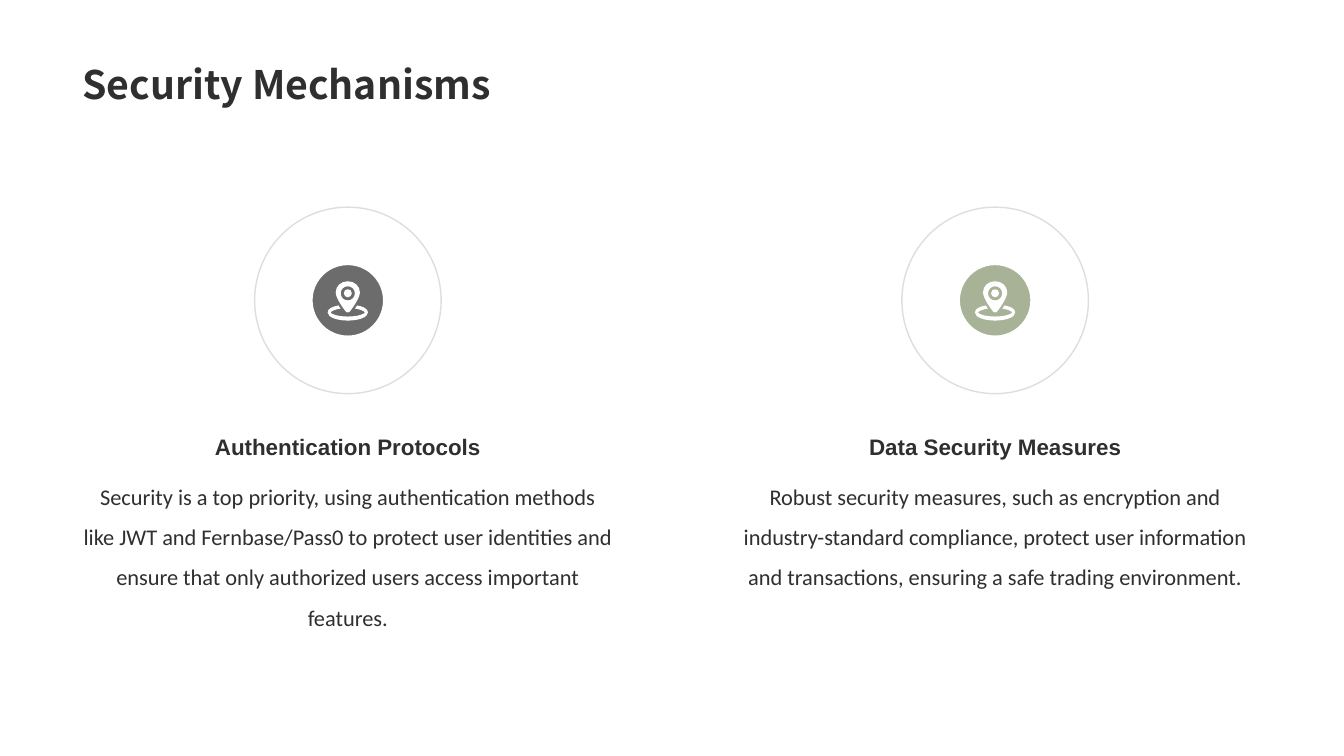
from dataclasses import dataclass

import lxml.etree
import pptx
import pptx.dml.color
import pptx.enum.shapes
import pptx.enum.text
import pptx.oxml.ns
import pptx.util
from pptx.util import Inches

Point = tuple[float, float]
ANCHOR = pptx.enum.text.MSO_ANCHOR
ALIGN = pptx.enum.text.PP_ALIGN
AUTO_SIZE = pptx.enum.text.MSO_AUTO_SIZE
qn = pptx.oxml.ns.qn

INK, WHITE, RING_GREY, SAGE = "2F2F2F", "FFFFFF", "DCDEE0", "82926B"
COLUMN_WIDTH = 5.46
ICON_Y = 2.98

# Right halves of the location pin's contours, as chained cubic curves
# measured in inches from the icon centre
PIN_HALVES: list[list[Point]] = [
    # Base ring
    [(0, .16), (.11, .16), (.17, .13), (.17, .12), (.17, .11), (.13, .09), (.07, .08),
     (.08, .07), (.09, .06), (.09, .05), (.15, .06), (.2, .08), (.2, .12),
     (.2, .17), (.1, .2), (0, .2)],
    # Inner dot
    [(0, -.11), (.02, -.11), (.04, -.1), (.04, -.07), (.04, -.05), (.02, -.03), (0, -.03)],
    # Hole
    [(0, -.14), (.04, -.14), (.07, -.11), (.07, -.07), (.07, -.03), (.04, 0), (0, 0)],
    # Drop
    [(0, -.19), (.07, -.19), (.12, -.14), (.12, -.08), (.12, -.03), (.06, .06), (.02, .11),
     (.02, .11), (.01, .12), (0, .12)],
]


@dataclass
class Mechanism:
    left: float
    heading: str
    body: str
    body_height: float
    accent: str


MECHANISMS = [
    Mechanism(0.72, "Authentication Protocols",
              "Security is a top priority, using authentication methods like JWT and "
              "Fernbase/Pass0 to protect user identities and ensure that only authorized "
              "users access important features.", 1.68, INK),
    Mechanism(7.14, "Data Security Measures",
              "Robust security measures, such as encryption and industry-standard "
              "compliance, protect user information and transactions, ensuring a safe "
              "trading environment.", 1.27, SAGE),
]


def rgb(value: str) -> pptx.dml.color.RGBColor:
    return pptx.dml.color.RGBColor.from_string(value)


def add_text(slide, text: str, left: float, top: float, width: float, height: float, *,
             size: float, font: str, bold: bool = False, align=ALIGN.LEFT,
             anchor=ANCHOR.TOP, line_spacing: float = 1.0,
             auto_size=AUTO_SIZE.SHAPE_TO_FIT_TEXT) -> None:
    box = slide.shapes.add_textbox(Inches(left), Inches(top), Inches(width), Inches(height))
    frame = box.text_frame
    frame.word_wrap = True
    frame.auto_size = auto_size
    frame.vertical_anchor = anchor
    paragraph = frame.paragraphs[0]
    paragraph.alignment = align
    paragraph.line_spacing = line_spacing
    run = paragraph.add_run()
    run.text = text
    run.font.size = pptx.util.Pt(size)
    run.font.name = font
    run.font.bold = bold
    run.font.color.rgb = rgb(INK)


def add_circle(slide, center_x: float, diameter: float, fill: str, line: str,
               line_width: float, opacity: int = 100) -> None:
    circle = slide.shapes.add_shape(
        pptx.enum.shapes.MSO_SHAPE.OVAL, Inches(center_x - diameter / 2),
        Inches(ICON_Y - diameter / 2), Inches(diameter), Inches(diameter))
    circle.shadow.inherit = False
    circle.fill.solid()
    circle.fill.fore_color.rgb = rgb(fill)
    circle.line.color.rgb = rgb(line)
    circle.line.width = pptx.util.Pt(line_width)
    if opacity < 100:
        solid_fill = circle._element.spPr.find(qn("a:solidFill"))
        alpha = lxml.etree.SubElement(solid_fill[0], qn("a:alpha"))
        alpha.set("val", str(opacity * 1000))


def curve_segments(shape) -> None:
    """Join every three straight segments into one cubic curve."""
    segments = list(shape._element.iter(qn("a:lnTo")))
    for first, second, third in zip(*[iter(segments)] * 3):
        first.tag = qn("a:cubicBezTo")
        for segment in (second, third):
            first.append(segment[0])
            segment.getparent().remove(segment)


def add_pin(slide, center_x: float) -> None:
    builder = None
    for half in PIN_HALVES:
        outline = half + [(-x, y) for x, y in reversed(half[:-1])]
        points = [(Inches(center_x + x), Inches(ICON_Y + y)) for x, y in outline]
        if builder is None:
            builder = slide.shapes.build_freeform(*points[0], scale=1.0)
        else:
            builder.move_to(*points[0])
        builder.add_line_segments(points[1:], close=True)
    pin = builder.convert_to_shape()
    curve_segments(pin)
    pin.shadow.inherit = False
    pin.fill.solid()
    pin.fill.fore_color.rgb = rgb(WHITE)
    pin.line.fill.background()


def add_mechanism(slide, item: Mechanism) -> None:
    center_x = item.left + COLUMN_WIDTH / 2
    # Icon
    add_circle(slide, center_x, 1.85, WHITE, RING_GREY, 1)
    add_circle(slide, center_x, 0.74, item.accent, WHITE, 3, opacity=70)
    add_pin(slide, center_x)
    # Description and heading
    add_text(slide, item.body, item.left, 4.61, COLUMN_WIDTH, item.body_height, size=16,
             font="Calibri", align=ALIGN.CENTER, line_spacing=1.5)
    add_text(slide, item.heading, item.left, 4.24, COLUMN_WIDTH, 0.37, size=16,
             font="Arial", bold=True, align=ALIGN.CENTER, anchor=ANCHOR.BOTTOM)


def main() -> None:
    presentation = pptx.Presentation()
    presentation.slide_width = Inches(13.33)
    presentation.slide_height = Inches(7.5)
    slide = presentation.slides.add_slide(presentation.slide_layouts[6])
    # Title
    add_text(slide, "Security Mechanisms", 0.72, 0, 11.88, 1.12, size=28,
             font="Noto Sans CJK SC", bold=True, anchor=ANCHOR.BOTTOM, line_spacing=0.9,
             auto_size=AUTO_SIZE.NONE)
    # Columns
    for item in MECHANISMS:
        add_mechanism(slide, item)
    presentation.save("out.pptx")


if __name__ == "__main__":
    main()
